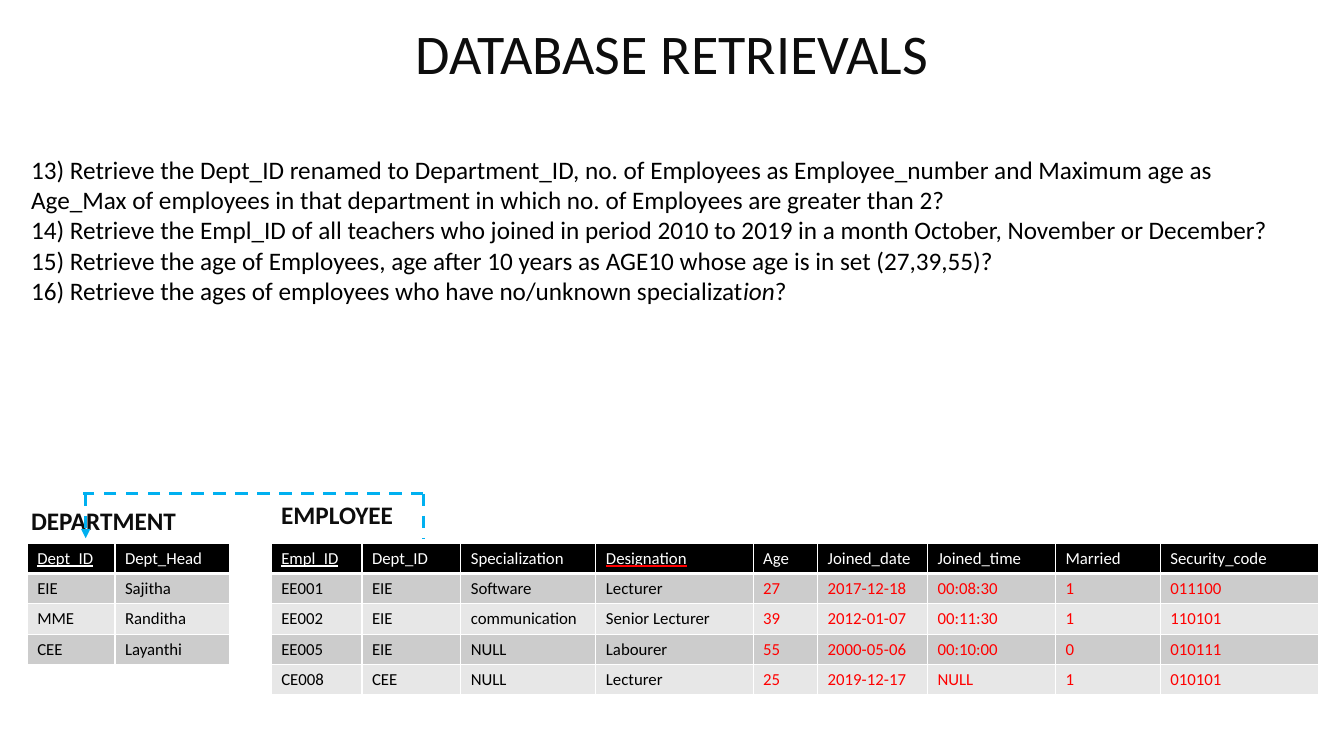
"""Build the database retrievals slide with its department and employee tables."""
from dataclasses import dataclass

from lxml.etree import SubElement
from pptx import Presentation
from pptx.dml.color import RGBColor
from pptx.enum.dml import MSO_LINE
from pptx.enum.shapes import MSO_CONNECTOR
from pptx.enum.text import MSO_ANCHOR, MSO_AUTO_SIZE, PP_ALIGN
from pptx.oxml import parse_xml
from pptx.oxml.ns import nsdecls, qn
from pptx.slide import Slide
from pptx.table import _Cell as Cell
from pptx.text.text import _Run as Run
from pptx.util import Emu, Pt

EMU_PER_PX = 9144
FONT = "Calibri"
BLACK = RGBColor(0x00, 0x00, 0x00)
NEAR_BLACK = RGBColor(0x0D, 0x0D, 0x0D)
WHITE = RGBColor(0xFF, 0xFF, 0xFF)
RED = RGBColor(0xFF, 0x00, 0x00)
CYAN = RGBColor(0x00, 0xB0, 0xF0)
BAND_DARK = RGBColor(0xCC, 0xCC, 0xCC)
BAND_LIGHT = RGBColor(0xE7, 0xE7, 0xE7)
ROW_HEIGHT = 30
TABLE_TOP = 539
LINK_TOP = 490
LINK_BOTTOM = 534
RED_UNDERLINE = "Designation"


@dataclass(frozen=True)
class Relation:
    """A database relation: its heading, table position and contents."""
    name: str
    name_left: int
    name_top: int
    left: int
    widths: tuple[int, ...]
    rows: tuple[tuple[str, ...], ...]
    underlined: tuple[str, ...]
    first_red_column: int


@dataclass(frozen=True)
class Link:
    """A dashed segment of the foreign key arrow."""
    start: tuple[int, int]
    end: tuple[int, int]
    arrow: bool = False


RELATIONS = (
    Relation("EMPLOYEE", 269, 490, 269, (90, 98, 134, 156, 64, 109, 127, 104, 157), (
        ("Empl_ID", "Dept_ID", "Specialization", "Designation", "Age",
         "Joined_date", "Joined_time", "Married", "Security_code"),
        ("EE001", "EIE", "Software", "Lecturer", "27", "2017-12-18", "00:08:30", "1", "011100"),
        ("EE002", "EIE", "communication", "Senior Lecturer", "39",
         "2012-01-07", "00:11:30", "1", "110101"),
        ("EE005", "EIE", "NULL", "Labourer", "55", "2000-05-06", "00:10:00", "0", "010111"),
        ("CE008", "CEE", "NULL", "Lecturer", "25", "2019-12-17", "NULL", "1", "010101"),
    ), ("Empl_ID", RED_UNDERLINE), 4),
    Relation("DEPARTMENT", 21, 496, 27, (87, 114), (
        ("Dept_ID", "Dept_Head"),
        ("EIE", "Sajitha"),
        ("MME", "Randitha"),
        ("CEE", "Layanthi"),
    ), ("Dept_ID",), 2),
)
LINKS = (
    Link((85, LINK_TOP), (85, LINK_BOTTOM), arrow=True),
    Link((420, LINK_TOP), (420, LINK_BOTTOM)),
    Link((420, LINK_TOP), (82, LINK_TOP)),
)
QUESTIONS = (
    ("13) Retrieve the Dept_ID renamed to Department_ID, no. of Employees as Employee_number "
     "and Maximum age as Age_Max of employees in that department in which no. of Employees "
     "are greater than 2?",),
    ("14) Retrieve the Empl_ID of all teachers who joined in period 2010 to 2019 in a month "
     "October, November or December?",),
    ("15) Retrieve the age of Employees, age after 10 years as AGE10 whose age is in set "
     "(27,39,55)?",),
    ("16) Retrieve the ages of employees who have no/unknown specializat", "ion", "?"),
)


def px(length: int) -> Emu:
    """Turn px into EMU."""
    return Emu(length * EMU_PER_PX)


def style_run(run: Run, size: int, color: RGBColor, bold: bool = False) -> None:
    """Give a run its font, size, colour and weight."""
    run.font.name = FONT
    run.font.size = Pt(size)
    run.font.bold = bold
    run.font.color.rgb = color


def add_title(slide: Slide) -> None:
    """Place and format the title placeholder."""
    title = slide.shapes.title
    title.left, title.top, title.width, title.height = px(0), px(36), px(1333), px(55)
    frame = title.text_frame
    frame.text = "DATABASE RETRIEVALS"
    frame.auto_size = MSO_AUTO_SIZE.NONE
    frame.vertical_anchor = MSO_ANCHOR.BOTTOM
    paragraph = frame.paragraphs[0]
    paragraph.alignment = PP_ALIGN.CENTER
    paragraph.line_spacing = 0.9
    style_run(paragraph.runs[0], 40, NEAR_BLACK)


def add_questions(slide: Slide) -> None:
    """Add the numbered questions, with every second run in italics."""
    frame = slide.shapes.add_textbox(px(21), px(118), px(1288), px(192)).text_frame
    frame.word_wrap = True
    frame.margin_top = px(35)
    for number, parts in enumerate(QUESTIONS):
        paragraph = frame.add_paragraph() if number else frame.paragraphs[0]
        for position, part in enumerate(parts):
            run = paragraph.add_run()
            run.text = part
            style_run(run, 18, BLACK)
            run.font.italic = position % 2 == 1


def add_borders(cell: Cell, header: bool) -> None:
    """Draw white borders, with a thick one below a header cell."""
    properties = cell._tc.get_or_add_tcPr()
    for position, side in enumerate(("lnL", "lnR", "lnT", "lnB")):
        width = Pt(3) if header and side == "lnB" else Pt(1)
        properties.insert(position, parse_xml(
            f'<a:{side} {nsdecls("a")} w="{width}"><a:solidFill>'
            f'<a:srgbClr val="{WHITE}"/></a:solidFill></a:{side}>'))


def redden_underline(run: Run) -> None:
    """Colour the underline of a run red."""
    run.font._element.find(qn("a:latin")).addprevious(parse_xml(
        f'<a:uFill {nsdecls("a")}><a:solidFill><a:srgbClr val="{RED}"/>'
        '</a:solidFill></a:uFill>'))


def fill_cell(cell: Cell, relation: Relation, row: int, column: int) -> None:
    """Write and format one cell of a relation."""
    header = row == 0
    text = relation.rows[row][column]
    cell.text_frame.text = text
    cell.fill.solid()
    cell.fill.fore_color.rgb = BLACK if header else BAND_DARK if row % 2 else BAND_LIGHT
    body_color = RED if column >= relation.first_red_column else BLACK
    run = cell.text_frame.paragraphs[0].runs[0]
    style_run(run, 12, WHITE if header else body_color)
    if header and text in relation.underlined:
        run.font.underline = True
        if text == RED_UNDERLINE:
            redden_underline(run)
    add_borders(cell, header)


def add_relation(slide: Slide, relation: Relation) -> None:
    """Add the heading and the table of a relation."""
    heading = slide.shapes.add_textbox(
        px(relation.name_left), px(relation.name_top), px(202), px(40))
    heading.text_frame.word_wrap = True
    heading.text_frame.text = relation.name
    style_run(heading.text_frame.paragraphs[0].runs[0], 18, NEAR_BLACK, bold=True)
    row_count = len(relation.rows)
    table = slide.shapes.add_table(
        row_count, len(relation.widths), px(relation.left), px(TABLE_TOP),
        px(sum(relation.widths)), px(row_count * ROW_HEIGHT)).table
    table.horz_banding = False
    for column, width in enumerate(relation.widths):
        table.columns[column].width = px(width)
        for row in range(row_count):
            fill_cell(table.cell(row, column), relation, row, column)


def add_link(slide: Slide, link: Link) -> None:
    """Add one dashed segment of the foreign key arrow."""
    connector = slide.shapes.add_connector(
        MSO_CONNECTOR.STRAIGHT, *map(px, link.start), *map(px, link.end))
    connector.line.color.rgb = CYAN
    connector.line.width = Pt(2.25)
    connector.line.dash_style = MSO_LINE.DASH
    if link.arrow:
        SubElement(connector.line._get_or_add_ln(), qn("a:tailEnd"), type="triangle")
    SubElement(connector._element.spPr, qn("a:effectLst"))


def main() -> None:
    """Build and save the presentation."""
    presentation = Presentation()
    presentation.slide_width, presentation.slide_height = px(1333), px(750)
    slide = presentation.slides.add_slide(presentation.slide_layouts[5])
    add_title(slide)
    add_questions(slide)
    for relation in RELATIONS:
        add_relation(slide, relation)
    for link in LINKS:
        add_link(slide, link)
    presentation.save("out.pptx")


if __name__ == "__main__":
    main()
